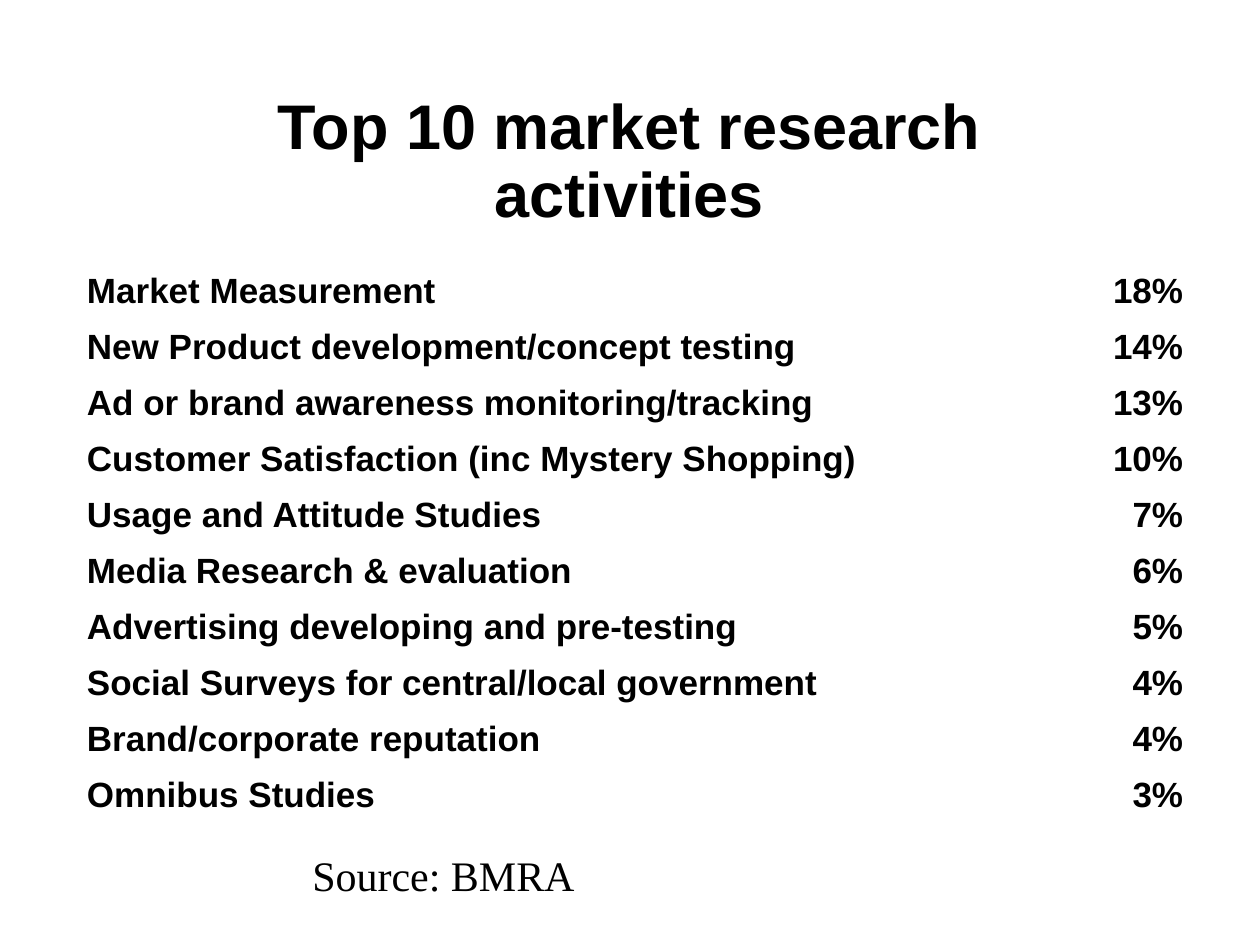
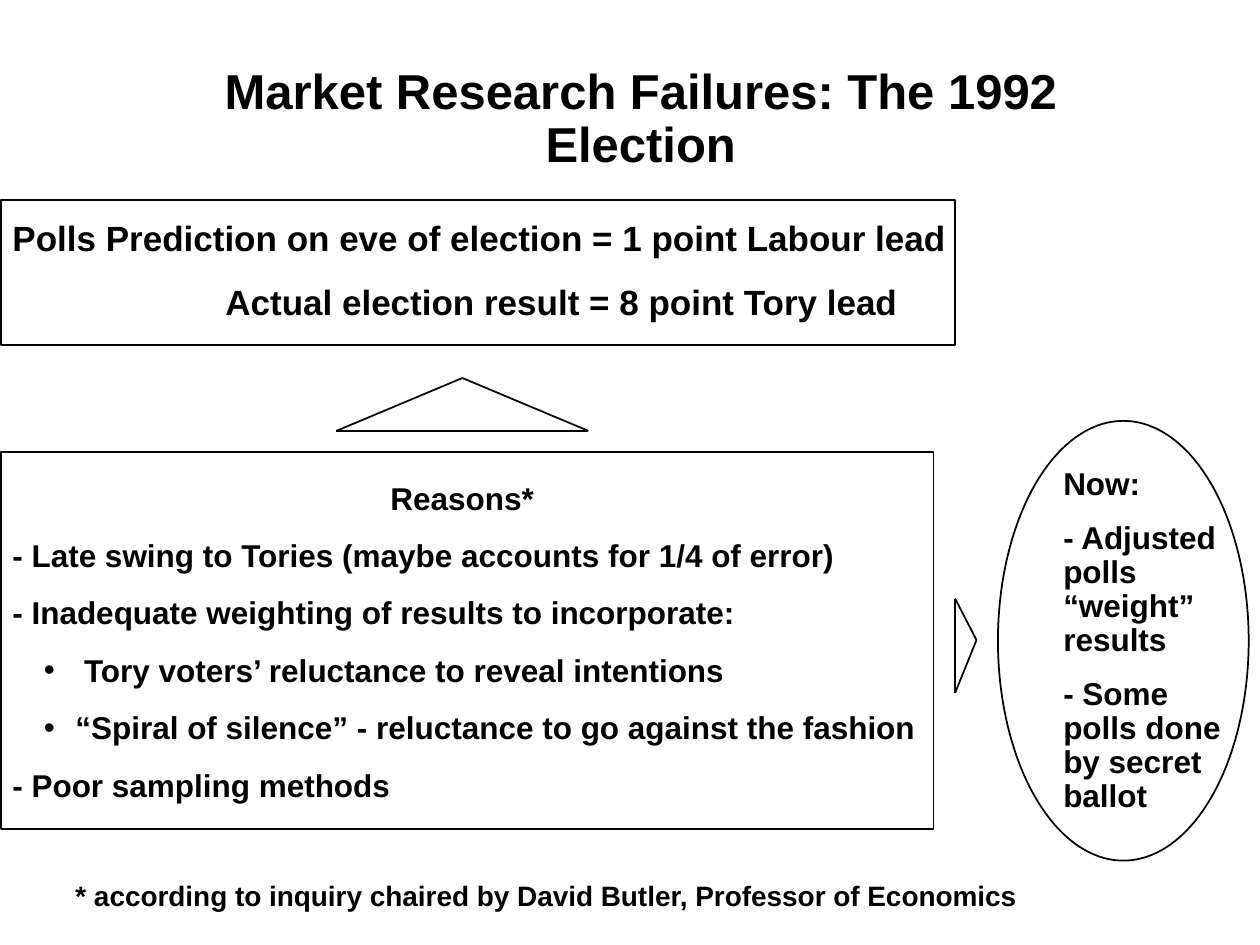
from itertools import pairwise

from lxml.etree import SubElement
from pptx import Presentation
from pptx.dml.color import RGBColor
from pptx.enum.shapes import MSO_CONNECTOR as Connector, MSO_SHAPE as Preset
from pptx.enum.text import MSO_ANCHOR as Anchor, MSO_AUTO_SIZE as AutoSize, PP_ALIGN as Align
from pptx.oxml.ns import qn
from pptx.util import Inches, Pt

COLOURS = {"ink": "000000", "paper": "FFFFFF"}
SANS, SERIF = "Arial", "Times New Roman"
TITLE_ONLY = 5

ACTIVITIES = [
    ("Market Measurement", "18%"),
    ("New Product development/concept testing", "14%"),
    ("Ad or brand awareness monitoring/tracking", "13%"),
    ("Customer Satisfaction (inc Mystery Shopping)", "10%"),
    ("Usage and Attitude Studies", "7%"),
    ("Media Research & evaluation", "6%"),
    ("Advertising developing and pre-testing", "5%"),
    ("Social Surveys for central/local government", "4%"),
    ("Brand/corporate reputation", "4%"),
    ("Omnibus Studies", "3%"),
]
POLL_RESULTS = [
    "Polls Prediction on eve of election = 1 point Labour lead",
    "Actual election result = 8 point Tory lead",
]
REASONS = [
    "Reasons*",
    "- Late swing to Tories (maybe accounts for 1/4 of error)",
    "- Inadequate weighting of results to incorporate:",
    " Tory voters’ reluctance to reveal intentions",
    "“Spiral of silence” - reluctance to go against the fashion",
    "- Poor sampling methods",
]
CHANGES_NOW = [
    "Now:",
    "- Adjusted polls “weight” results",
    "- Some polls done by secret ballot",
]


def colour(name):
    return RGBColor.from_string(COLOURS[name])


def inches(values):
    return [Inches(value) for value in values]


def style_font(paragraph, size, name=SANS, bold=True):
    font = paragraph.font
    font.name, font.size, font.bold = name, Pt(size), bold
    font.color.rgb = colour("ink")


def indent(paragraph, left, first_line=0):
    properties = paragraph._p.get_or_add_pPr()
    properties.set("marL", str(Inches(left)))
    properties.set("indent", str(Inches(first_line)))
    return properties


def add_bullet(paragraph):
    properties = indent(paragraph, 0.5, -0.25)
    SubElement(properties, qn("a:buFont"), typeface=SANS)
    SubElement(properties, qn("a:buChar"), char="•")


def add_titled_slide(presentation, text, box, size):
    slide = presentation.slides.add_slide(presentation.slide_layouts[TITLE_ONLY])
    title = slide.shapes.title
    title.left, title.top, title.width, title.height = inches(box)
    frame = title.text_frame
    frame.text = text
    frame.auto_size, frame.vertical_anchor = AutoSize.NONE, Anchor.MIDDLE
    paragraph = frame.paragraphs[0]
    paragraph.alignment, paragraph.line_spacing = Align.CENTER, 0.9
    style_font(paragraph, size)
    return slide


def add_text(slide, box, lines, size, name=SANS, bold=True, wrap=True,
             space_before=0, line_spacing=1.0):
    """Add a text box with one paragraph per line and return its paragraphs."""
    frame = slide.shapes.add_textbox(*inches(box)).text_frame
    frame.text = "\n".join(lines)
    frame.word_wrap, frame.auto_size = wrap, AutoSize.SHAPE_TO_FIT_TEXT
    for paragraph in frame.paragraphs:
        style_font(paragraph, size, name, bold)
        paragraph.space_before = Pt(space_before)
        paragraph.line_spacing = line_spacing
    return frame.paragraphs


def add_outlined_shape(slide, preset, box):
    shape = slide.shapes.add_shape(preset, *inches(box))
    shape.shadow.inherit = False
    shape.fill.solid()
    shape.fill.fore_color.rgb = colour("paper")
    shape.line.color.rgb = colour("ink")
    shape.line.width = Pt(1)


def add_triangle(slide, corners):
    """Draw a grouped outline of three lines, open to the background."""
    group = slide.shapes.add_group_shape()
    for start, end in pairwise(corners + corners[:1]):
        line = group.shapes.add_connector(Connector.STRAIGHT, *inches(start + end))
        line.line.color.rgb = colour("ink")
        line.line.width = Pt(1)
        SubElement(line._element.spPr, qn("a:effectLst"))


def add_activity_table(slide, box):
    table = slide.shapes.add_table(len(ACTIVITIES), 2, *inches(box)).table
    table.first_row = table.horz_banding = False
    table.columns[0].width, table.columns[1].width = inches((7.35, 1.55))
    for index, (row, texts) in enumerate(zip(table.rows, ACTIVITIES)):
        row.height = Inches(4 / 9 if index else 0.5)
        for cell, text, alignment in zip(row.cells, texts, (Align.LEFT, Align.RIGHT)):
            cell.text = text
            cell.fill.background()
            cell.vertical_anchor = Anchor.BOTTOM
            paragraph = cell.text_frame.paragraphs[0]
            paragraph.alignment = alignment
            style_font(paragraph, 20)


def build_activities_slide(presentation):
    slide = add_titled_slide(presentation, "Top 10 market research activities",
                             (1.08, 0.67, 7.83, 1.25), 36)
    add_activity_table(slide, (0.59, 2.02, 8.9, 4.5))
    add_text(slide, (2.38, 6.69, 2.28, 0.5), ["Source: BMRA"], 24,
             name=SERIF, bold=False, wrap=False)


def build_election_slide(presentation):
    slide = add_titled_slide(presentation, "Market Research Failures: The 1992 Election",
                             (1.17, 0.33, 7.83, 1.25), 28)
    add_outlined_shape(slide, Preset.OVAL, (7.92, 3.34, 1.99, 3.49))
    add_outlined_shape(slide, Preset.RECTANGLE, (0.01, 3.59, 7.4, 2.99))
    add_outlined_shape(slide, Preset.RECTANGLE, (0.01, 1.59, 7.57, 1.15))

    results = add_text(slide, (0, 1.67, 8.01, 0.94), POLL_RESULTS, 20, space_before=12.5)
    indent(results[1], 1.69)

    reasons = add_text(slide, (0, 3.75, 7.93, 2.68), REASONS, 18, space_before=11.2)
    indent(reasons[0], 3)
    for paragraph in reasons[3:5]:
        add_bullet(paragraph)

    add_text(slide, (8.34, 3.67, 1.59, 2.84), CHANGES_NOW, 18,
             space_before=11.2, line_spacing=0.9)
    add_triangle(slide, [(7.58, 4.75), (7.58, 5.5), (7.75, 5.08)])
    add_triangle(slide, [(2.67, 3.42), (4.67, 3.42), (3.67, 3)])
    add_text(slide, (0.5, 6.92, 8.18, 0.36),
             ["* according to inquiry chaired by David Butler, Professor of Economics"],
             16, space_before=10)


def main():
    presentation = Presentation()
    presentation.slide_width, presentation.slide_height = inches((10, 7.5))
    build_activities_slide(presentation)
    build_election_slide(presentation)
    presentation.save("out.pptx")


if __name__ == "__main__":
    main()
